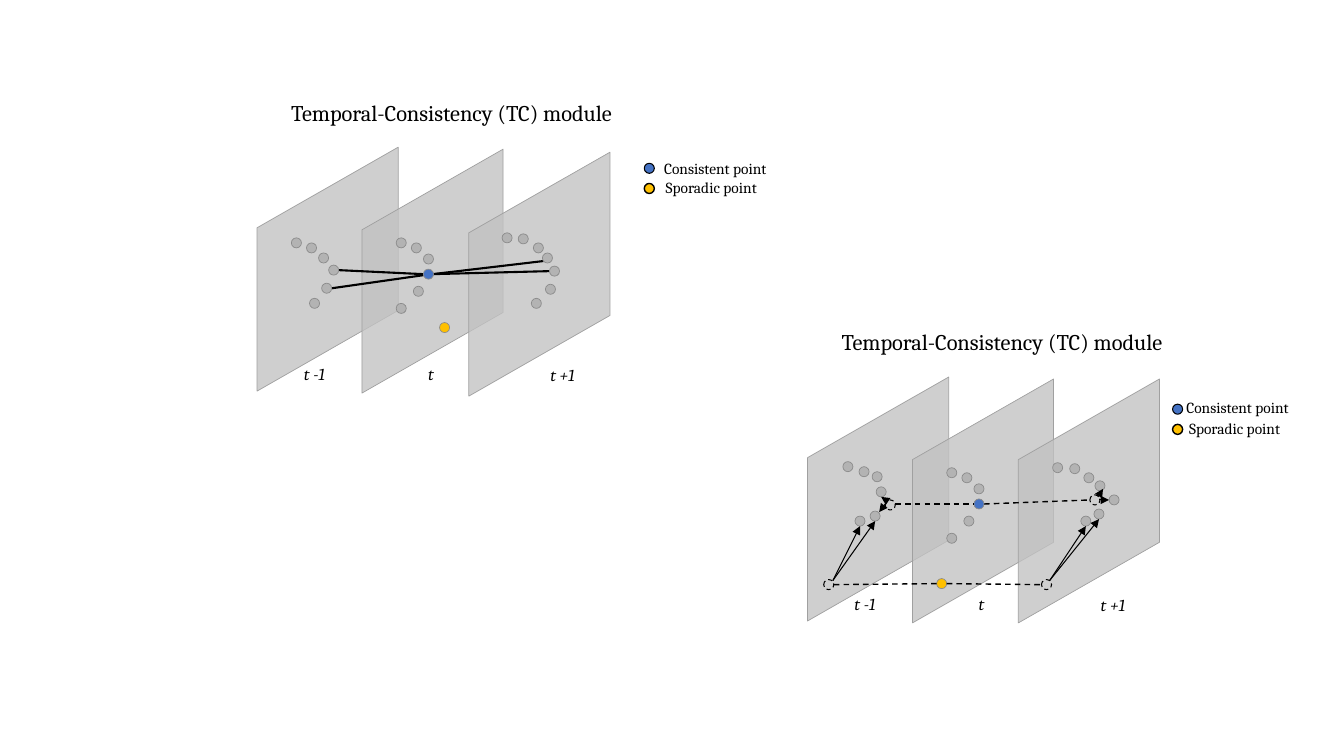
from dataclasses import dataclass

import lxml.etree
import pptx
import pptx.dml.color
import pptx.enum.dml
import pptx.enum.shapes
import pptx.enum.text
import pptx.oxml.ns
import pptx.util

PX = 9144  # one px is a hundredth of an inch
qn = pptx.oxml.ns.qn


@dataclass(frozen=True)
class Theme:
    font: str = "Cambria"
    ink: str = "000000"
    plane: str = "C2C2C2"
    plane_edge: str = "A0A0A0"
    plane_opacity: int = 78
    dot: str = "B3B3B3"
    dot_edge: str = "8C8C8C"
    consistent: str = "4472C4"
    sporadic: str = "FFC000"
    title_size: int = 16
    caption_size: int = 12
    legend_size: int = 11
    hairline: float = 0.5
    thin: float = 0.75
    medium: float = 1
    thick: float = 1.5


class Canvas:
    DOT = 10

    def __init__(self, slide, theme):
        self.slide = slide
        self.theme = theme

    def rgb(self, value):
        return pptx.dml.color.RGBColor.from_string(value)

    def outline(self, line, color, width, dashed=False):
        line.color.rgb = self.rgb(color)
        line.width = pptx.util.Pt(width)
        if dashed:
            line.dash_style = pptx.enum.dml.MSO_LINE.DASH

    def plane(self, x, y):
        """Square seen in isometric view, inside a 197 px frame at x, y."""
        width, rise, edge = 140, 80, 162
        left, top = x + 28, y - 21
        builder = self.slide.shapes.build_freeform(left, top + rise, scale=PX)
        builder.add_line_segments([(left + width, top),
                                   (left + width, top + edge),
                                   (left, top + rise + edge)])
        plane = builder.convert_to_shape()
        plane.shadow.inherit = False
        plane.fill.solid()
        plane.fill.fore_color.rgb = self.rgb(self.theme.plane)
        color = plane.fill._xPr.find(".//" + qn("a:srgbClr"))
        lxml.etree.SubElement(color, qn("a:alpha"),
                              val=str(self.theme.plane_opacity * 1000))
        self.outline(plane.line, self.theme.plane_edge, self.theme.hairline)

    def dot(self, x, y, fill, edge, width, dashed=False):
        dot = self.slide.shapes.add_shape(
            pptx.enum.shapes.MSO_SHAPE.OVAL,
            x * PX, y * PX, self.DOT * PX, self.DOT * PX)
        dot.shadow.inherit = False
        if fill:
            dot.fill.solid()
            dot.fill.fore_color.rgb = self.rgb(fill)
        else:
            dot.fill.background()
        self.outline(dot.line, edge, width, dashed)

    def plane_dot(self, x, y, fill):
        self.dot(x, y, fill, self.theme.dot_edge, self.theme.hairline)

    def line(self, ends, width, dashed=False, arrow=False):
        link = self.slide.shapes.add_connector(
            pptx.enum.shapes.MSO_CONNECTOR.STRAIGHT, *(v * PX for v in ends))
        self.outline(link.line, self.theme.ink, width, dashed)
        if arrow:
            lxml.etree.SubElement(link.line._get_or_add_ln(),
                                  qn("a:tailEnd"), type="triangle")
        lxml.etree.SubElement(link._element.spPr, qn("a:effectLst"))

    def text(self, words, x, y, width, height, size, italic=False, holder=None):
        box = holder or self.slide.shapes.add_textbox(0, 0, 0, 0)
        box.left, box.top = x * PX, y * PX
        box.width, box.height = width * PX, height * PX
        frame = box.text_frame
        frame.word_wrap = True
        frame.auto_size = pptx.enum.text.MSO_AUTO_SIZE.NONE
        frame.vertical_anchor = pptx.enum.text.MSO_ANCHOR.TOP
        frame.text = words
        paragraph = frame.paragraphs[0]
        paragraph.alignment = pptx.enum.text.PP_ALIGN.CENTER
        font = paragraph.font
        font.name = self.theme.font
        font.size = pptx.util.Pt(size)
        font.italic = italic
        font.color.rgb = self.rgb(self.theme.ink)

    def panel(self, x, y, planes, holder=None):
        """Title, three time planes and their captions."""
        self.text("Temporal-Consistency (TC) module", x + 25, y - 74, 392, 37,
                  self.theme.title_size, holder=holder)
        for plane_x, plane_y in planes:
            self.plane(plane_x, plane_y)
        for words, dx, dy, width in (("t -1", 47, 189, 76), ("t", 185, 189, 31),
                                     ("t +1", 293, 190, 76)):
            self.text(words, x + dx, y + dy, width, 30,
                      self.theme.caption_size, italic=True)

    def legend(self, dot_x, dot_y, entries, width):
        colors = (self.theme.consistent, self.theme.sporadic)
        weights = (self.theme.thin, self.theme.medium)
        for row, (words, x, y) in enumerate(entries):
            self.dot(dot_x, dot_y + 20 * row, colors[row], self.theme.ink,
                     weights[row])
            self.text(words, x, y, width, 29, self.theme.legend_size)


def main():
    deck = pptx.Presentation()
    deck.slide_width, deck.slide_height = 1333 * PX, 750 * PX
    slide = deck.slides.add_slide(deck.slide_layouts[5])
    theme = Theme()
    canvas = Canvas(slide, theme)

    # Upper panel: the consistent point linked to its neighbours
    canvas.panel(227, 167, [(227, 167), (331, 169), (437, 172)],
                 holder=slide.shapes.title)
    for ends in ((336, 268, 420, 272), (329, 286, 420, 273),
                 (429, 272, 545, 269), (429, 272, 539, 259)):
        canvas.line(ends, theme.thick)
    upper_dots = [
        (289, 236), (304, 241), (316, 251), (326, 263), (319, 281), (307, 296),
        (393, 236), (408, 241), (420, 252), (410, 284), (393, 301),
        (498, 231), (514, 232), (529, 241), (538, 251), (545, 264), (541, 282),
        (527, 296)]
    for x, y in upper_dots:
        canvas.plane_dot(x, y, theme.dot)
    canvas.plane_dot(420, 267, theme.consistent)
    canvas.plane_dot(436, 320, theme.sporadic)
    canvas.legend(639, 162, [("Consistent point", 637, 153),
                             ("Sporadic point", 633, 172)], 145)

    # Lower panel: points projected onto the neighbouring planes
    canvas.panel(773, 395, [(773, 395), (877, 397), (982, 397)])
    lower_dots = [
        (836, 458), (852, 463), (865, 468), (869, 483), (863, 507), (848, 512),
        (939, 464), (954, 469), (966, 480), (956, 512), (939, 529),
        (1044, 459), (1061, 460), (1075, 469), (1086, 477), (1100, 491),
        (1085, 505), (1072, 512)]
    for x, y in lower_dots:
        canvas.plane_dot(x, y, theme.dot)
    canvas.plane_dot(966, 495, theme.consistent)
    canvas.plane_dot(929, 574, theme.sporadic)
    for x, y in ((878, 496), (1081, 491), (817, 575), (1033, 575)):
        canvas.dot(x, y, None, theme.ink, theme.thin, dashed=True)

    # Dashed projections and arrows to the nearest points
    for ends in ((888, 500, 966, 500), (976, 500, 1081, 496),
                 (827, 580, 929, 579), (939, 579, 1033, 580)):
        canvas.line(ends, theme.medium, dashed=True)
    for ends in ((826, 576, 868, 517), (826, 576, 853, 522),
                 (1041, 576, 1077, 522), (1041, 576, 1090, 515),
                 (878, 500, 872, 508), (880, 497, 874, 493),
                 (1089, 493, 1094, 485), (1090, 496, 1100, 496)):
        canvas.line(ends, theme.thin, arrow=True)
    canvas.legend(1163, 401, [("Consistent point", 1163, 390),
                              ("Sporadic point", 1160, 411)], 129)

    deck.save("out.pptx")


if __name__ == "__main__":
    main()
